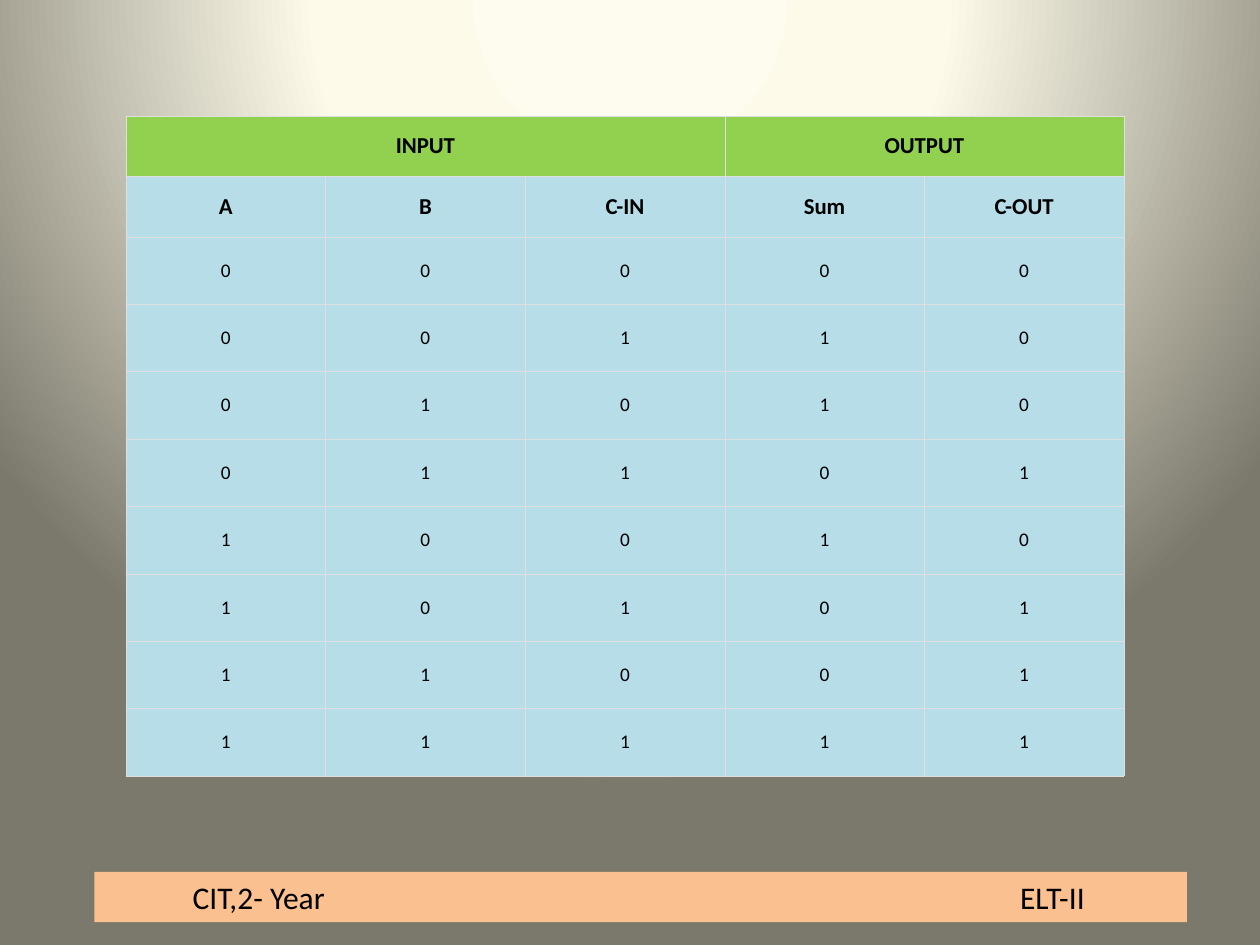
"""Build the full adder truth table slide."""
import pptx
import pptx.dml.color
import pptx.enum.shapes
import pptx.enum.text
import pptx.oxml
import pptx.oxml.ns
import pptx.util

GROUPS = [("INPUT", 3), ("OUTPUT", 2)]
HEADINGS = ["A", "B", "C-IN", "Sum", "C-OUT"]
TRUTH_ROWS = ["00000", "00110", "01010", "01101", "10010", "10101", "11001", "11111"]
FOOTER = ["CIT,2- Year", "ELT-II"]

THEME = {
    "font": "Calibri", "text": "000000", "group": "92D050", "cell": "B7DEE8",
    "border": "DFDFDF", "footer": "FAC090",
    "heading_size": 13, "value_size": 11, "footer_size": 18,
    "backdrop": [(0, "FEFCEE"), (40, "FDFAEA"), (100, "7B796B")],
}
TABLE_BOX = (1, 0.92, 7.92, 5.24)
FOOTER_BOX = (0.75, 6.92, 8.67, 0.4)
HEADING_HEIGHT = 0.48
FOOTER_INDENT = 0.78
FOOTER_TAB = 7.08
BORDER_WIDTH = 0.23

Inches = pptx.util.Inches
Pt = pptx.util.Pt
NS = pptx.oxml.ns.nsdecls("a", "p")
CENTER = pptx.enum.text.PP_ALIGN.CENTER
LEFT = pptx.enum.text.PP_ALIGN.LEFT
MIDDLE = pptx.enum.text.MSO_ANCHOR.MIDDLE


def apply(target, values):
    for name, value in values.items():
        setattr(target, name, value)


def paint(item, color):
    item.fill.solid()
    item.fill.fore_color.rgb = pptx.dml.color.RGBColor.from_string(color)


def write(para, text, size, bold=False, align=CENTER):
    para.alignment = align
    span = para.add_run()
    span.text = text
    apply(span.font, {"name": THEME["font"], "size": Pt(size), "bold": bold})
    span.font.color.rgb = pptx.dml.color.RGBColor.from_string(THEME["text"])


def add_backdrop(page):
    stops = "".join(
        f'<a:gs pos="{place * 1000}"><a:srgbClr val="{color}"/></a:gs>'
        for place, color in THEME["backdrop"])
    backdrop = pptx.oxml.parse_xml(
        f'<p:bg {NS}><p:bgPr><a:gradFill rotWithShape="1"><a:gsLst>{stops}</a:gsLst>'
        '<a:path path="circle"><a:fillToRect l="50000" t="-80000" r="50000" b="180000"/>'
        '</a:path></a:gradFill><a:effectLst/></p:bgPr></p:bg>')
    page.element.find(pptx.oxml.ns.qn("p:cSld")).insert(0, backdrop)


def add_borders(cell):
    properties = cell._tc.get_or_add_tcPr()
    for index, side in enumerate("LRTB"):
        properties.insert(index, pptx.oxml.parse_xml(
            f'<a:ln{side} {NS} w="{int(Pt(BORDER_WIDTH))}"><a:solidFill>'
            f'<a:srgbClr val="{THEME["border"]}"/></a:solidFill></a:ln{side}>'))


def fill_cell(cell, text, size, bold, margin):
    apply(cell, {
        "vertical_anchor": MIDDLE,
        "margin_left": Inches(0.09), "margin_right": Inches(0.09),
        "margin_top": Inches(margin), "margin_bottom": Inches(margin)})
    write(cell.text_frame.paragraphs[0], text, size, bold)


def add_truth_table(page):
    row_count, column_count = len(TRUTH_ROWS) + 2, len(HEADINGS)
    grid = page.shapes.add_table(row_count, column_count, *map(Inches, TABLE_BOX)).table
    width, height = TABLE_BOX[2:]
    value_height = (height - 2 * HEADING_HEIGHT) / len(TRUTH_ROWS)
    for column in grid.columns:
        column.width = Inches(width / column_count)
    for index, row in enumerate(grid.rows):
        row.height = Inches(HEADING_HEIGHT if index < 2 else value_height)
        for cell in row.cells:
            paint(cell, THEME["cell" if index else "group"])
            add_borders(cell)

    start = 0
    for label, length in GROUPS:
        cell = grid.cell(0, start)
        cell.merge(grid.cell(0, start + length - 1))
        fill_cell(cell, label, THEME["heading_size"], True, 0.09)
        start += length
    for index, values in enumerate([HEADINGS, *TRUTH_ROWS], start=1):
        heading = index == 1
        size = THEME["heading_size" if heading else "value_size"]
        for column, text in enumerate(values):
            fill_cell(grid.cell(index, column), text, size, heading, 0.09 if heading else 0.13)


def add_footer(page):
    box = page.shapes.add_shape(
        pptx.enum.shapes.MSO_SHAPE.RECTANGLE, *map(Inches, FOOTER_BOX))
    box.shadow.inherit = False
    paint(box, THEME["footer"])
    box.line.fill.background()
    apply(box.text_frame, {
        "word_wrap": True, "vertical_anchor": MIDDLE, "margin_left": Inches(FOOTER_INDENT)})
    para = box.text_frame.paragraphs[0]
    para._p.get_or_add_pPr().append(pptx.oxml.parse_xml(
        f'<a:tabLst {NS}><a:tab pos="{int(Inches(FOOTER_TAB))}" algn="r"/></a:tabLst>'))
    write(para, "\t".join(FOOTER), THEME["footer_size"], align=LEFT)


def main():
    deck = pptx.Presentation()
    apply(deck, {"slide_width": Inches(10), "slide_height": Inches(7.5)})
    page = deck.slides.add_slide(deck.slide_layouts[6])
    add_backdrop(page)
    add_footer(page)
    add_truth_table(page)
    deck.save("out.pptx")


if __name__ == "__main__":
    main()
